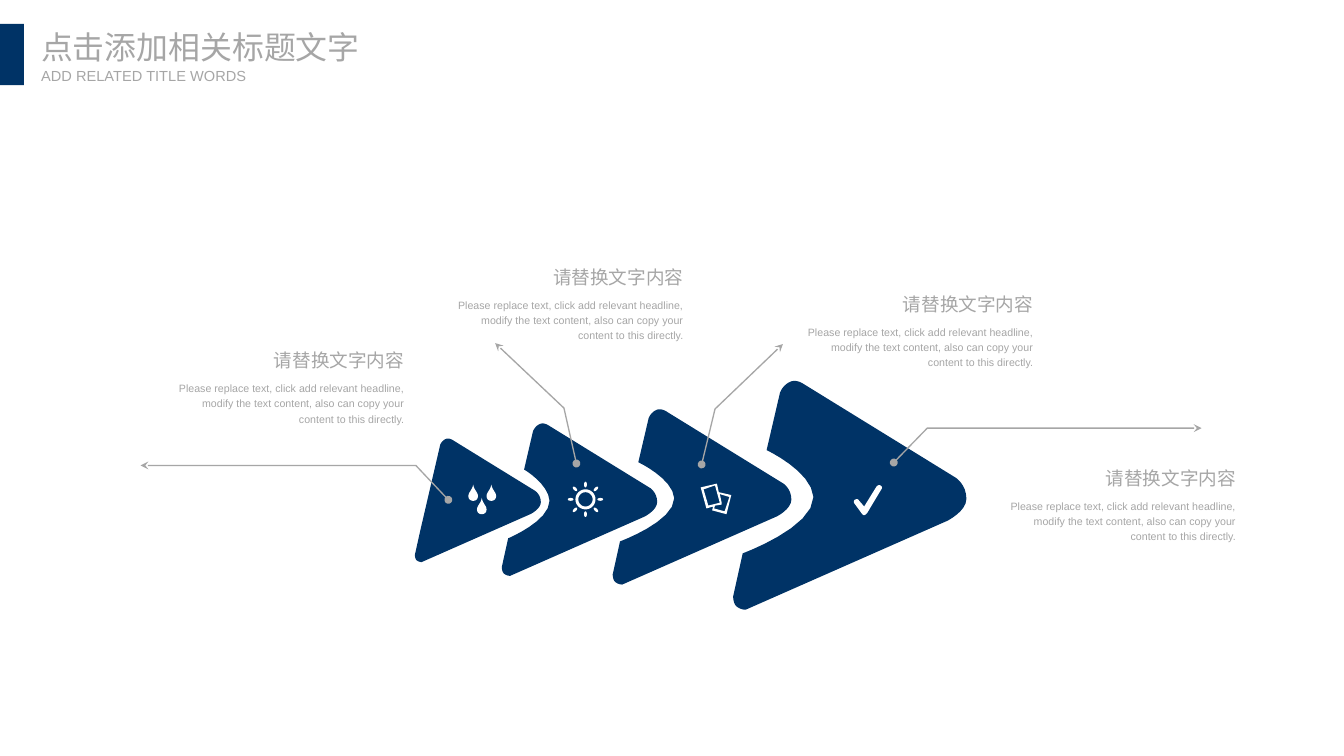
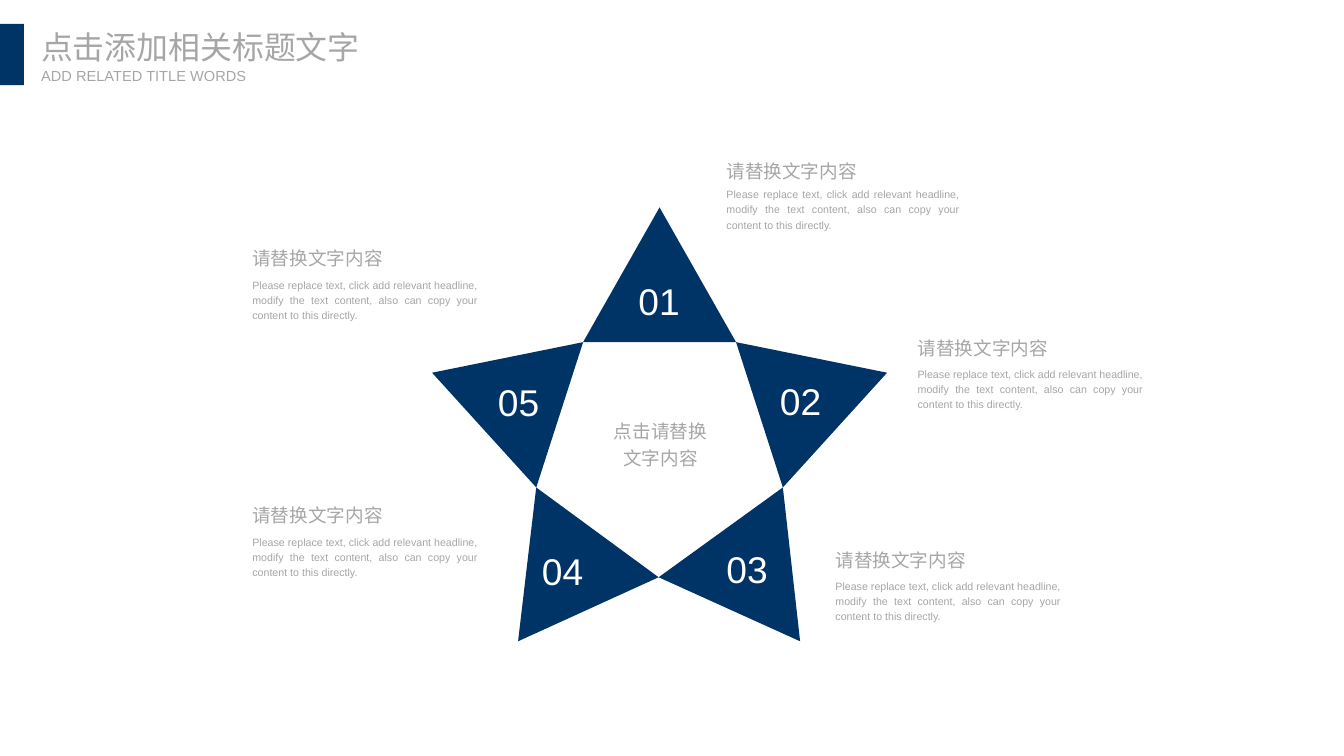
from dataclasses import dataclass
from math import cos, pi, sin

from lxml import etree
from pptx import Presentation
from pptx.dml.color import RGBColor
from pptx.enum import shapes, text
from pptx.oxml import ns
from pptx.util import Inches, Pt


@dataclass(frozen=True)
class Theme:
    navy: str = "003366"
    grey: str = "A6A6A6"
    white: str = "FFFFFF"
    body_font: str = "Arial"
    title_font: str = "Noto Sans CJK SC"
    title: int = 24
    subtitle: int = 11
    heading: int = 14
    body: int = 8
    number: int = 28
    spacing: float = 1.2


@dataclass(frozen=True)
class CaptionStyle:
    align: int
    anchor: int
    heading_height: float


THEME = Theme()
ALIGN = text.PP_ALIGN
ANCHOR = text.MSO_ANCHOR
ARROW_CAPTION = CaptionStyle(ALIGN.RIGHT, ANCHOR.MIDDLE, 0.39)
STAR_CAPTION = CaptionStyle(ALIGN.JUSTIFY, ANCHOR.TOP, 0.26)

TITLE = "点击添加相关标题文字"
SUBTITLE = "ADD RELATED TITLE WORDS"
HEADING = "请替换文字内容"
BODY = ("Please replace text, click add relevant headline, modify the text "
        "content, also can copy your content to this directly.")
CENTRE = "点击请替换文字内容"


# Drawing helpers

def add_text(page, box, words, size, color=THEME.grey, align=ALIGN.LEFT,
             anchor=ANCHOR.TOP, font=THEME.body_font, spacing=THEME.spacing,
             wrap=True):
    frame = page.shapes.add_textbox(*map(Inches, box)).text_frame
    frame.word_wrap = wrap
    frame.vertical_anchor = anchor
    frame.margin_left = frame.margin_right = 0
    frame.margin_top = frame.margin_bottom = 0
    para = frame.paragraphs[0]
    para.text = words
    para.alignment = align
    para.line_spacing = spacing
    para.font.size = Pt(size)
    para.font.name = font
    para.font.color.rgb = RGBColor.from_string(color)
    # East Asian glyphs take their font from a separate element
    span = para.runs[0]
    span.font.name = font
    east_asian = etree.SubElement(span.font._element, ns.qn("a:ea"))
    east_asian.set("typeface", font)


def paint(shape, color):
    shape.shadow.inherit = False
    shape.fill.solid()
    shape.fill.fore_color.rgb = RGBColor.from_string(color)
    shape.line.fill.background()


def trace(steps, samples=8):
    """Turn steps of one point (line) or three points (cubic) into points."""
    points = [steps[0]]
    for step in steps[1:]:
        if len(step) == 2:
            points.append(step)
            continue
        a, (b, c, d) = points[-1], step
        for i in range(1, samples + 1):
            t = i / samples
            s = 1 - t
            points.append(tuple(
                s ** 3 * p + 3 * s * s * t * q + 3 * s * t * t * r + t ** 3 * e
                for p, q, r, e in zip(a, b, c, d)))
    return points


def add_outline(page, left, top, contours, scale=1, close=True):
    def place(point):
        return Inches(left + point[0] * scale), Inches(top + point[1] * scale)

    builder = None
    for contour in contours:
        start, *rest = map(place, contour)
        if builder is None:
            builder = page.shapes.build_freeform(*start, scale=1.0)
        else:
            builder.move_to(*start)
        builder.add_line_segments(rest, close=close)
    return builder.convert_to_shape()


def ellipse(cx, cy, rx, ry, turn=0, count=32):
    angles = [2 * pi * i / count for i in range(count)]
    return [(cx + rx * cos(a) * cos(turn) - ry * sin(a) * sin(turn),
             cy + rx * cos(a) * sin(turn) + ry * sin(a) * cos(turn))
            for a in angles]


# Shared slide parts

def add_header(page, left=0, top=0.25):
    band = page.shapes.add_shape(shapes.MSO_SHAPE.RECTANGLE, Inches(left),
                                 Inches(top), Inches(0.25), Inches(0.64))
    paint(band, THEME.navy)
    add_text(page, (left + 0.43, top + 0.04, 3.37, 0.4), TITLE, THEME.title,
             font=THEME.title_font, spacing=1.0, wrap=False)
    add_text(page, (left + 0.43, top + 0.45, 2.18, 0.19), SUBTITLE,
             THEME.subtitle, spacing=1.0, wrap=False)


def add_caption(page, left, top, width, gap, style):
    heading_align = ALIGN.RIGHT if style.align == ALIGN.RIGHT else ALIGN.LEFT
    add_text(page, (left, top, width, style.heading_height), HEADING,
             THEME.heading, align=heading_align, anchor=style.anchor)
    add_text(page, (left, top + gap, width, 0.48), BODY, THEME.body,
             align=style.align)


# Arrow slide

def arrow_outline(notch):
    steps = [
        (2.44, 1.25), [(2.44, 1.38), (2.24, 1.48), (2.24, 1.48)],
        (0.13, 2.41), [(0.13, 2.41), (0.07, 2.41), (0.03, 2.37)],
        [(0, 2.34), (0, 2.27), (0, 2.27)], (0.1, 1.82)]
    if notch:
        steps += [[(0.1, 1.82), (notch, 1.55), (notch, 1.23)],
                  [(notch - 0.02, 0.96), (0.35, 0.74), (0.35, 0.74)]]
    steps += [
        (0.49, 0.14), [(0.49, 0.14), (0.52, 0.05), (0.61, 0.02)],
        [(0.67, 0), (0.74, 0.05), (0.74, 0.05)],
        (2.33, 1.03), [(2.33, 1.03), (2.44, 1.1), (2.44, 1.25)]]
    return trace(steps)


def drops():
    def drop(x, y):
        return trace([
            (x, y), [(x - 0.01, y + 0.06), (x - 0.05, y + 0.08), (x - 0.05, y + 0.12)],
            [(x - 0.05, y + 0.15), (x - 0.03, y + 0.17), (x, y + 0.17)],
            [(x + 0.03, y + 0.17), (x + 0.05, y + 0.15), (x + 0.05, y + 0.12)],
            [(x + 0.05, y + 0.08), (x + 0.01, y + 0.06), (x, y)]])
    return [drop(0.05, 0), drop(0.24, 0), drop(0.14, 0.14)]


def sun():
    middle, reach = 0.185, 0.155
    rings = [ellipse(middle, middle, r, r) for r in (0.105, 0.075)]
    turns = [i * pi / 4 for i in range(8)]
    return rings + [ellipse(middle + reach * cos(a), middle + reach * sin(a),
                            0.03, 0.015, a, 12) for a in turns]


def cards():
    return [
        [(0, 0.04), (0.17, 0), (0.19, 0.09), (0.32, 0.12), (0.27, 0.32),
         (0.12, 0.28), (0.13, 0.24), (0.06, 0.26)],
        [(0.03, 0.06), (0.15, 0.02), (0.2, 0.2), (0.08, 0.23)],
        [(0.25, 0.29), (0.14, 0.26), (0.15, 0.23), (0.22, 0.22),
         (0.22, 0.2), (0.2, 0.11), (0.3, 0.14)]]


def check():
    return [trace([
        (0.11, 0.32), [(0.1, 0.32), (0.09, 0.31), (0.09, 0.31)],
        (0.01, 0.2), [(0, 0.19), (0, 0.17), (0.01, 0.16)],
        [(0.03, 0.15), (0.04, 0.15), (0.05, 0.16)],
        (0.11, 0.23), (0.24, 0.02), [(0.25, 0.01), (0.27, 0), (0.28, 0.01)],
        [(0.3, 0.02), (0.3, 0.04), (0.29, 0.05)],
        (0.14, 0.3), [(0.13, 0.31), (0.12, 0.32), (0.11, 0.32)]])]


def add_leader(page, left, top, points):
    leader = add_outline(page, left, top, [points], close=False)
    leader.shadow.inherit = False
    leader.fill.background()
    leader.line.color.rgb = RGBColor.from_string(THEME.grey)
    leader.line.width = Pt(1)
    line = leader.line._get_or_add_ln()
    for end, kind in (("a:headEnd", "oval"), ("a:tailEnd", "stealth")):
        etree.SubElement(line, ns.qn(end)).set("type", kind)


def add_arrow_diagram(page, left, top):
    # Arrows: left, top, scale, notch depth
    arrows = [(6.2, 1.29, 1, 0.84), (4.94, 1.59, 0.766, 0.84),
              (3.78, 1.74, 0.666, 0.75), (2.87, 1.9, 0.54, 0)]
    for x, y, scale, notch in arrows:
        arrow = add_outline(page, left + x, top + y, [arrow_outline(notch)], scale)
        paint(arrow, THEME.navy)

    # Leaders run from a dot on the arrow to a stealth tip
    for points in ([(7.88, 2.16), (8.23, 1.8), (11.1, 1.8)],
                   [(3.22, 2.55), (2.88, 2.19), (0, 2.19)],
                   [(5.87, 2.18), (6.01, 1.6), (6.72, 0.92)],
                   [(4.56, 2.17), (4.43, 1.59), (3.71, 0.91)]):
        add_leader(page, left, top, points)

    # Icons
    for x, y, icon in ((3.43, 2.39, drops), (4.47, 2.36, sun),
                       (5.86, 2.38, cards), (7.46, 2.39, check)):
        paint(add_outline(page, left + x, top + y, icon()), THEME.white)

    # Captions
    for x, y in ((0.25, 0.87), (3.17, 0), (6.83, 0.28), (8.95, 2.1)):
        add_caption(page, left + x, top + y, 2.51, 0.42, ARROW_CAPTION)


# Star slide

def add_star_diagram(page, left, top):
    # Outer tips and inner corners, clockwise from the top
    tips = [(4.26, 0.54), (6.64, 2.27), (5.73, 5.08), (2.78, 5.08), (1.88, 2.27)]
    corners = [(5.06, 1.95), (5.55, 3.47), (4.25, 4.41), (2.97, 3.47), (3.46, 1.95)]
    numbers = [(3.98, 1.19), (5.46, 2.24), (4.9, 3.99), (2.97, 4.01), (2.51, 2.25)]
    for i, (tip, spot) in enumerate(zip(tips, numbers)):
        point = add_outline(page, left, top, [[corners[i - 1], tip, corners[i]]])
        paint(point, THEME.navy)
        add_text(page, (left + spot[0], top + spot[1], 0.55, 0.51),
                 f"{i + 1:02}", THEME.number, THEME.white, ALIGN.CENTER)

    add_text(page, (left + 3.7, top + 2.72, 1.14, 0.54), CENTRE,
             THEME.heading, align=ALIGN.CENTER)

    # Captions: left, top, width, gap to the body
    for x, y, width, gap in ((4.96, 0, 2.44, 0.31), (6.96, 1.85, 2.36, 0.34),
                             (6.1, 4.07, 2.36, 0.34), (0, 3.6, 2.36, 0.35),
                             (0, 0.91, 2.36, 0.35)):
        add_caption(page, left + x, top + y, width, gap, STAR_CAPTION)


def main():
    deck = Presentation()
    deck.slide_width, deck.slide_height = Inches(14.06), Inches(7.91)
    for add_diagram, left, top in ((add_arrow_diagram, 1.47, 2.68),
                                   (add_star_diagram, 2.64, 1.63)):
        page = deck.slides.add_slide(deck.slide_layouts[6])
        add_diagram(page, left, top)
        add_header(page)
    deck.save("out.pptx")


if __name__ == "__main__":
    main()
